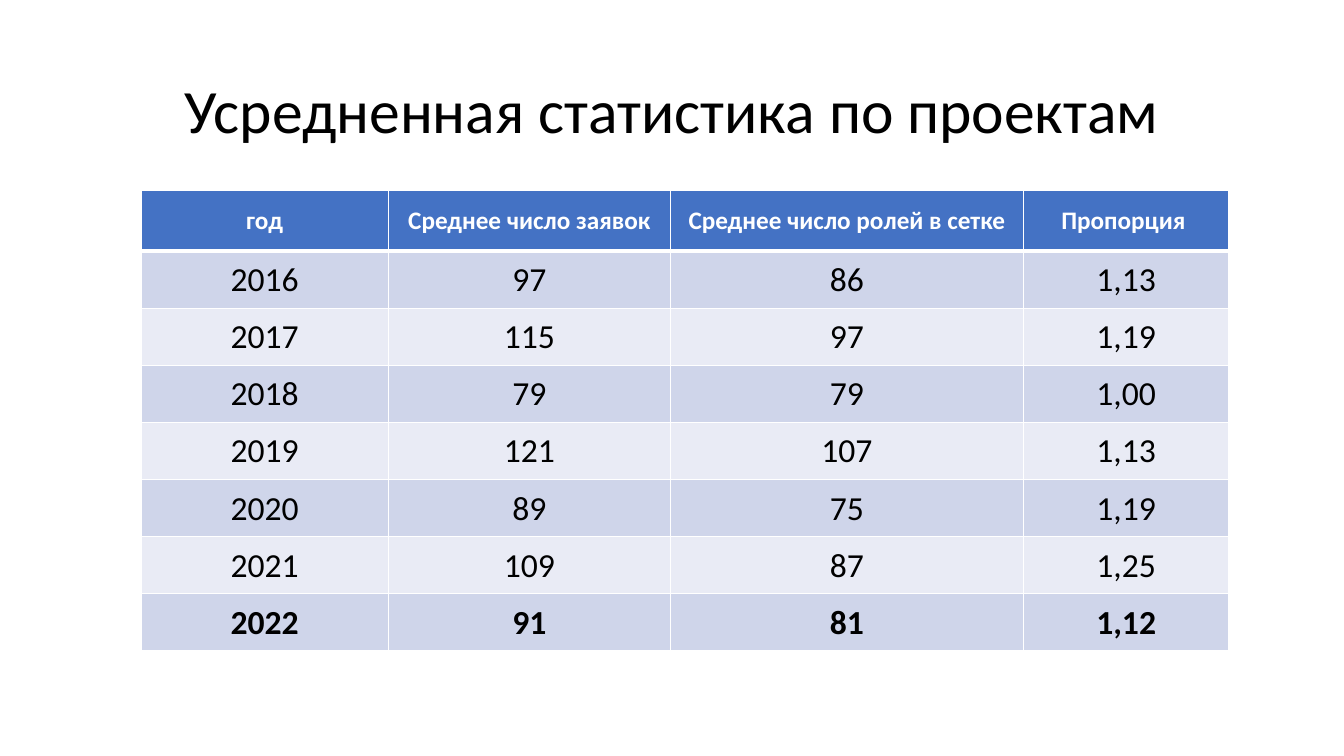
import pptx
import pptx.dml.color
import pptx.enum.text
import pptx.oxml
import pptx.oxml.ns
import pptx.util
from lxml import etree

Inches = pptx.util.Inches
Pt = pptx.util.Pt
COLORS = {"head": "4472C4", "odd": "CFD5EA", "even": "E9EBF5",
          "white": "FFFFFF", "black": "000000"}
HEADS = ["год", "Среднее число заявок", "Среднее число ролей в сетке", "Пропорция "]
STATS = [
    ["2016", "97", "86", "1,13"],
    ["2017", "115", "97", "1,19"],
    ["2018", "79", "79", "1,00"],
    ["2019", "121", "107", "1,13"],
    ["2020", "89", "75", "1,19"],
    ["2021", "109", "87", "1,25"],
    ["2022", "91", "81", "1,12"],
]
WIDTHS = [2.45, 2.8, 3.5, 2.04]


def color(name):
    """Return the named colour."""
    return pptx.dml.color.RGBColor.from_string(COLORS[name])


def style(frame, size, tint, bold=False):
    """Centre the text and format its runs."""
    frame.vertical_anchor = pptx.enum.text.MSO_ANCHOR.MIDDLE
    for para in frame.paragraphs:
        para.alignment = pptx.enum.text.PP_ALIGN.CENTER
        for run in para.runs:
            font = run.font
            font.name, font.size, font.bold = "Calibri", Pt(size), bold
            font.color.rgb = color(tint)


def border(cell, sides):
    """Draw white cell borders with the given widths in points."""
    props = cell._tc.get_or_add_tcPr()
    for spot, (side, width) in enumerate(sides.items()):
        line = etree.Element(pptx.oxml.ns.qn("a:ln" + side), w=str(Pt(width)))
        fill = etree.SubElement(line, pptx.oxml.ns.qn("a:solidFill"))
        etree.SubElement(fill, pptx.oxml.ns.qn("a:srgbClr"), val=COLORS["white"])
        props.insert(spot, line)


def title(slide, text, left, top, width, height):
    """Place the slide title in its box."""
    box = slide.shapes.add_textbox(Inches(left), Inches(top), Inches(width), Inches(height))
    frame = box.text_frame
    frame.word_wrap = True
    frame.text = text
    frame.paragraphs[0].line_spacing = 0.9
    style(frame, 44, "black")


def table(slide, left, top, width, height, first=0.6):
    """Place the statistics table in its box, with a taller first row."""
    rows = [HEADS] + STATS
    grid = slide.shapes.add_table(len(rows), len(HEADS), Inches(left), Inches(top),
                                  Inches(width), Inches(height)).table
    for col, size in zip(grid.columns, WIDTHS):
        col.width = Inches(size)
    for r, row in enumerate(rows):
        grid.rows[r].height = Inches(first if r == 0 else (height - first) / len(STATS))
        band = "head" if r == 0 else "odd" if r % 2 else "even"
        for c, text in enumerate(row):
            cell = grid.cell(r, c)
            cell.text = text
            if r or c < len(HEADS) - 1:
                cell.margin_left = cell.margin_right = cell.margin_top = Inches(0.01)
                cell.margin_bottom = 0
            style(cell.text_frame, 24 if r else 18, "black" if r else "white",
                  r in (0, len(STATS)))
            cell.vertical_anchor = pptx.enum.text.MSO_ANCHOR.MIDDLE
            cell.fill.solid()
            cell.fill.fore_color.rgb = color(band)
            border(cell, {"L": 1, "R": 1, "T": 3 if r == 1 else 1, "B": 1 if r else 3})


def main():
    """Build and save the slide."""
    deck = pptx.Presentation()
    deck.slide_width, deck.slide_height = Inches(13.33), Inches(7.5)
    slide = deck.slides.add_slide(deck.slide_layouts[6])
    title(slide, "Усредненная статистика по проектам", 0.92, 0.4, 11.5, 1.45)
    table(slide, 1.4, 1.89, sum(WIDTHS), 4.57)
    deck.save("out.pptx")


if __name__ == "__main__":
    main()
